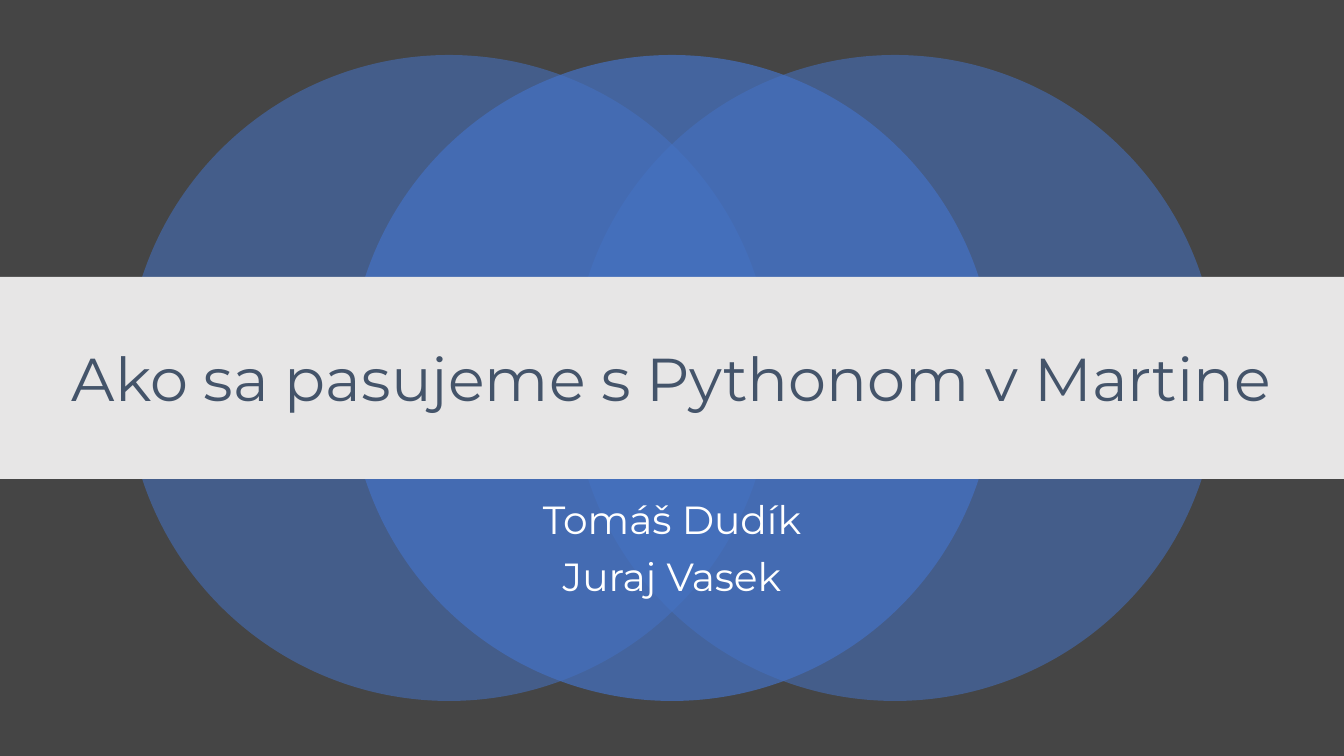
from lxml import etree
from pptx import Presentation
from pptx.dml.color import RGBColor
from pptx.enum.shapes import MSO_SHAPE
from pptx.enum.text import MSO_ANCHOR, PP_ALIGN
from pptx.oxml.ns import qn
from pptx.util import Pt

OVAL, RECTANGLE = MSO_SHAPE.OVAL, MSO_SHAPE.RECTANGLE
TOP, MIDDLE = MSO_ANCHOR.TOP, MSO_ANCHOR.MIDDLE
CENTER = PP_ALIGN.CENTER

CHARCOAL = RGBColor(0x45, 0x45, 0x45)
BLUE = RGBColor(0x44, 0x72, 0xC4)
LIGHT_GRAY = RGBColor(0xE7, 0xE6, 0xE6)
SLATE = RGBColor(0x44, 0x54, 0x6A)
WHITE = RGBColor(0xFF, 0xFF, 0xFF)

WIDTH, HEIGHT = 1344, 756
EMU_PER_PX = 12192000 / WIDTH
CIRCLE_SIZE = 646
CIRCLE_STEP = 223


def px(*lengths):
    return [round(length * EMU_PER_PX) for length in lengths]


class SlideBuilder:
    font = "Montserrat"
    line_spacing = 0.9

    def __init__(self, presentation, background):
        self.slide = presentation.slides.add_slide(presentation.slide_layouts[6])
        fill = self.slide.background.fill
        fill.solid()
        fill.fore_color.rgb = background

    def shape(self, kind, box, color, opacity=100):
        """Add a borderless shape; opacity is a percentage."""
        shape = self.slide.shapes.add_shape(kind, *px(*box))
        shape.shadow.inherit = False
        shape.line.fill.background()
        shape.fill.solid()
        shape.fill.fore_color.rgb = color
        if opacity < 100:
            solid_color = shape.fill._xPr.find(".//" + qn("a:srgbClr"))
            etree.SubElement(solid_color, qn("a:alpha"), val=str(opacity * 1000))

    def text(self, box, lines, size, color, anchor, gap=0):
        """Add centred lines, with gap points between them."""
        frame = self.slide.shapes.add_textbox(*px(*box)).text_frame
        frame.word_wrap = True
        frame.vertical_anchor = anchor
        font_format = {"name": self.font, "size": Pt(size)}
        for index, line in enumerate(lines):
            paragraph = frame.add_paragraph() if index else frame.paragraphs[0]
            paragraph.alignment = CENTER
            paragraph.line_spacing = self.line_spacing
            if index:
                paragraph.space_before = Pt(gap)
            run = paragraph.add_run()
            run.text = line
            for attribute, value in font_format.items():
                setattr(run.font, attribute, value)
            run.font.color.rgb = color


def main():
    presentation = Presentation()
    presentation.slide_width, presentation.slide_height = px(WIDTH, HEIGHT)
    cover = SlideBuilder(presentation, CHARCOAL)

    middle_left = (WIDTH - CIRCLE_SIZE) // 2
    circle_top = (HEIGHT - CIRCLE_SIZE) // 2
    for offset, opacity in ((-1, 55), (1, 55), (0, 70)):
        left = middle_left + offset * CIRCLE_STEP
        cover.shape(OVAL, (left, circle_top, CIRCLE_SIZE, CIRCLE_SIZE), BLUE, opacity)

    cover.shape(RECTANGLE, (0, 277, WIDTH, 202), LIGHT_GRAY)
    cover.text((37, 306, 1269, 152), ["Ako sa pasujeme s Pythonom v Martine"],
               43.2, SLATE, MIDDLE)
    cover.text((168, 496, 1008, 125), ["Tomáš Dudík", "Juraj Vasek"],
               28, WHITE, TOP, gap=10)
    presentation.save("out.pptx")


if __name__ == "__main__":
    main()
